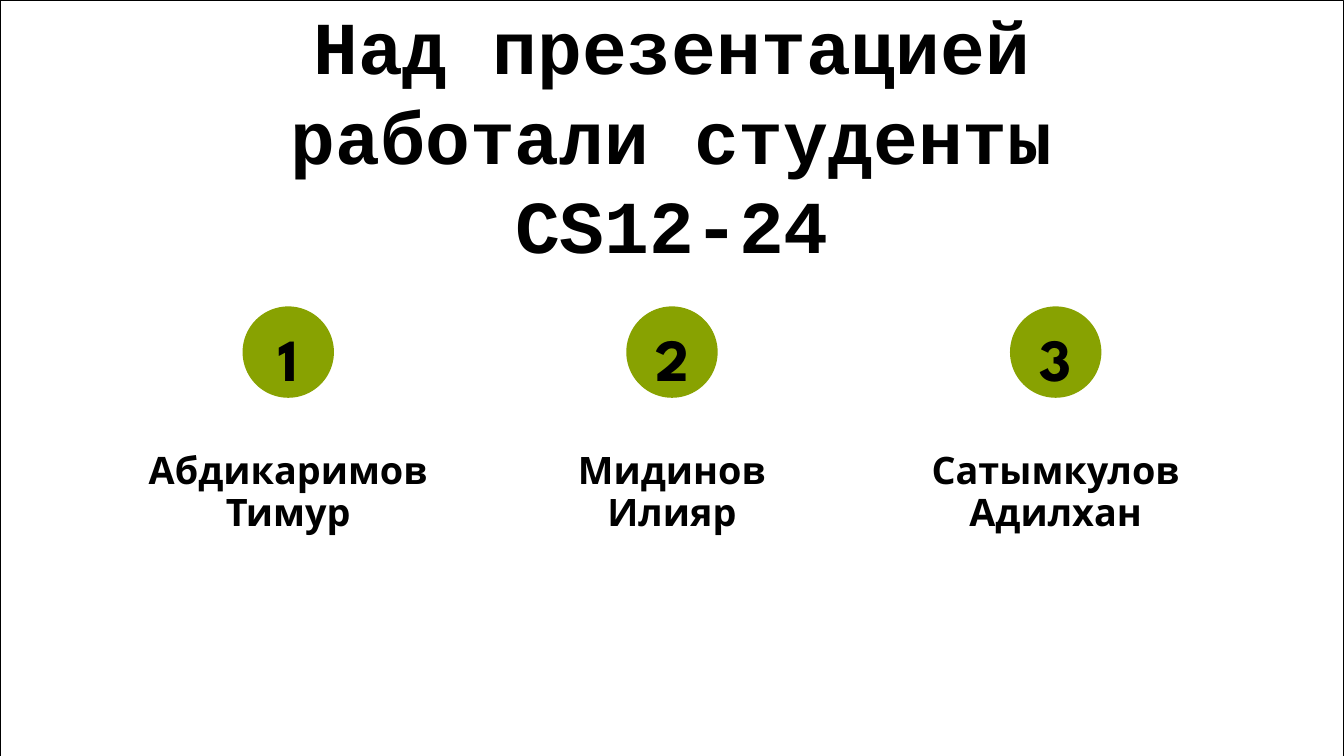
from pptx import Presentation
from pptx import util as u
from pptx.dml.color import RGBColor
from pptx.enum import shapes, text

WIDTH, HEIGHT = 20, 11.25
BLACK, GREEN = "000000", "88A201"
CENTRE, STEP = 10, 5.71
BADGE = 1.36
STUDENTS = [
    ("Абдикаримов Тимур", 5.01),
    ("Мидинов Илияр", 4.54),
    ("Сатымкулов Адилхан", 5.01),
]


def colour(value):
    return RGBColor.from_string(value)


class TeamSlide:
    def __init__(self, deck):
        self.page = deck.slides.add_slide(deck.slide_layouts[5])

    def place(self, box, middle, top, width, height):
        box.left, box.top = u.Inches(middle - width / 2), u.Inches(top)
        box.width, box.height = u.Inches(width), u.Inches(height)

    def fill_text(self, box, words, font, size, leading, spacing=0):
        frame = box.text_frame
        frame.text = words
        frame.word_wrap = True
        frame.auto_size = text.MSO_AUTO_SIZE.NONE
        frame.vertical_anchor = text.MSO_ANCHOR.TOP
        frame.margin_left = frame.margin_right = 0
        frame.margin_top = frame.margin_bottom = 0
        para = frame.paragraphs[0]
        para.alignment = text.PP_ALIGN.CENTER
        para.line_spacing = u.Pt(leading)
        para.space_before = u.Pt(0)
        span = para.runs[0]
        span.font.name, span.font.size = font, u.Pt(size)
        span.font.bold = True
        span.font.color.rgb = colour(BLACK)
        if spacing:
            span._r.get_or_add_rPr().set("spc", str(round(spacing * 100)))

    def title(self, words, middle, top, width, height):
        box = self.page.shapes.title
        self.place(box, middle, top, width, height)
        self.fill_text(box, words, "Courier New", 80, 96)

    def label(self, words, middle, top, width, height, *style):
        box = self.page.shapes.add_textbox(0, 0, 0, 0)
        self.place(box, middle, top, width, height)
        self.fill_text(box, words, *style)

    def shape(self, kind, middle, top, width, height, fill=None, line=None):
        box = self.page.shapes.add_shape(kind, 0, 0, 0, 0)
        self.place(box, middle, top, width, height)
        box.shadow.inherit = False
        if fill:
            box.fill.solid()
            box.fill.fore_color.rgb = colour(fill)
        else:
            box.fill.background()
        if line:
            box.line.color.rgb = colour(line)
            box.line.width = u.Pt(1)
        else:
            box.line.fill.background()

    def student(self, number, name, middle, width):
        self.shape(shapes.MSO_SHAPE.OVAL, middle, 4.56, BADGE, BADGE, fill=GREEN)
        self.label(str(number), middle, 4.46, BADGE, 1.31,
                   "League Spartan", 64, 100.5, -3.2)
        self.label(name, middle, 6.71, width, 1.24, "Open Sans", 40.5, 44.5)


def main():
    deck = Presentation()
    deck.slide_width, deck.slide_height = u.Inches(WIDTH), u.Inches(HEIGHT)
    slide = TeamSlide(deck)
    slide.shape(shapes.MSO_SHAPE.RECTANGLE, CENTRE, 0, WIDTH, HEIGHT, line=BLACK)
    slide.title("Над презентацией работали студенты CS12-24", CENTRE, 0, 11.88, 4)
    for number, (name, width) in enumerate(STUDENTS, 1):
        slide.student(number, name, CENTRE + (number - 2) * STEP, width)
    deck.save("out.pptx")


if __name__ == "__main__":
    main()
